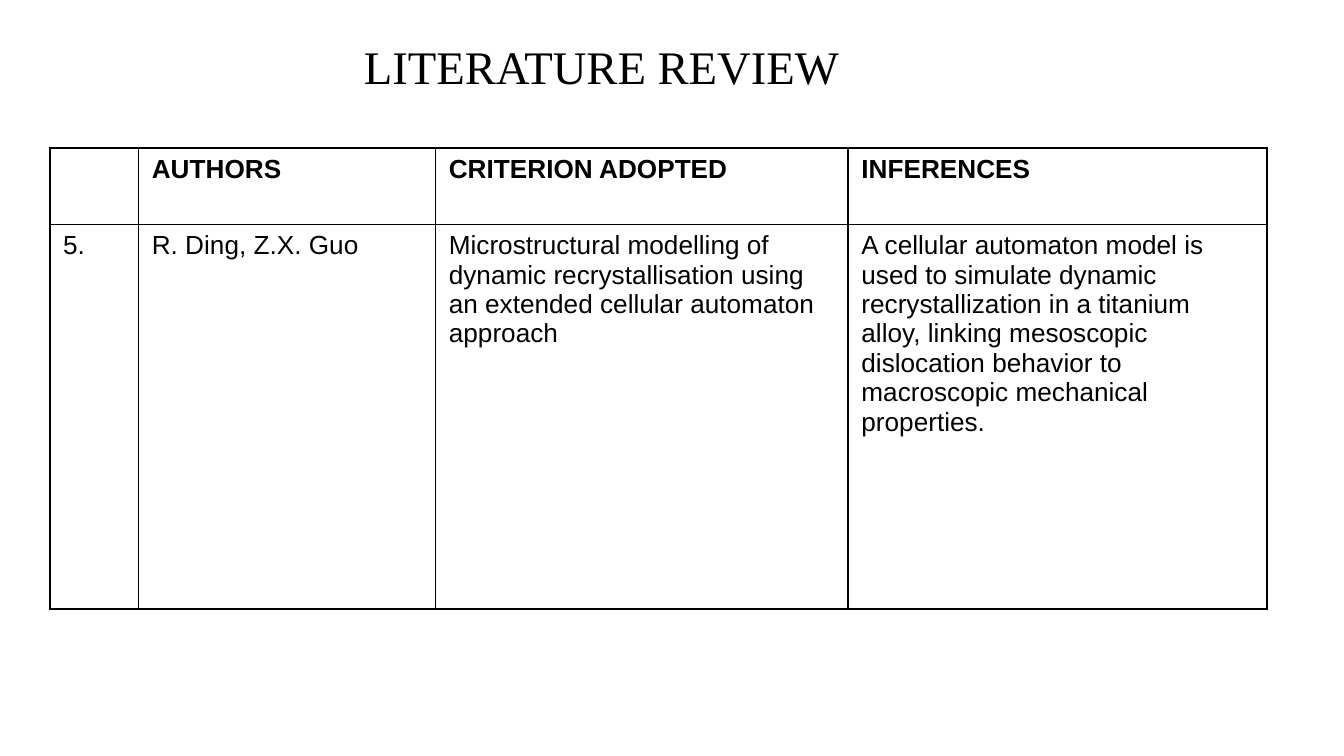
from lxml.etree import SubElement
from pptx import Presentation
from pptx.dml.color import RGBColor
from pptx.enum.text import MSO_ANCHOR
from pptx.oxml.ns import qn
from pptx.util import Inches, Pt

BLACK = "000000"
SLIDE_WIDTH = 10
SLIDE_HEIGHT = SLIDE_WIDTH * 9 / 16
COLUMN_WIDTHS = [0.66, 2.21, 3.07, 3.12]
ROW_HEIGHTS = [0.57, 2.86]
REVIEW = [
    ["", "AUTHORS", "CRITERION ADOPTED", "INFERENCES"],
    [
        "5.",
        "R. Ding, Z.X. Guo",
        "Microstructural modelling of dynamic recrystallisation using "
        "an extended cellular automaton approach",
        "A cellular automaton model is used to simulate dynamic "
        "recrystallization in a titanium alloy, linking mesoscopic "
        "dislocation behavior to macroscopic mechanical properties.",
    ],
]


def color(hex_value):
    return RGBColor.from_string(hex_value)


def add_run(paragraph, text, font_name, size, bold=False):
    run = paragraph.add_run()
    run.text = text
    run.font.name = font_name
    run.font.size = Pt(size)
    run.font.bold = bold
    run.font.color.rgb = color(BLACK)


def add_title(slide, text):
    title = slide.shapes.add_textbox(
        Inches(2.61), Inches(0.23), Inches(5), Inches(0.52)
    )
    title.text_frame.word_wrap = True
    add_run(title.text_frame.paragraphs[0], text, "Times New Roman", 25)


def add_borders(cell):
    properties = cell._tc.get_or_add_tcPr()
    for side in ("a:lnL", "a:lnR", "a:lnT", "a:lnB"):
        border = SubElement(properties, qn(side), w=str(Pt(1)))
        fill = SubElement(border, qn("a:solidFill"))
        SubElement(fill, qn("a:srgbClr"), val=BLACK)


def fill_cell(cell, text, bold):
    cell.vertical_anchor = MSO_ANCHOR.TOP
    add_borders(cell)
    cell.fill.background()
    if text:
        add_run(cell.text_frame.paragraphs[0], text, "Arial", 14, bold)


def add_review_table(slide):
    table = slide.shapes.add_table(
        len(ROW_HEIGHTS), len(COLUMN_WIDTHS), Inches(0.37), Inches(1.1),
        Inches(sum(COLUMN_WIDTHS)), Inches(sum(ROW_HEIGHTS)),
    ).table
    table.horz_banding = False
    table.first_row = False
    for column, width in zip(table.columns, COLUMN_WIDTHS):
        column.width = Inches(width)
    for row_index, (row, height) in enumerate(zip(table.rows, ROW_HEIGHTS)):
        row.height = Inches(height)
        for cell, text in zip(row.cells, REVIEW[row_index]):
            fill_cell(cell, text, bold=row_index == 0)


def main():
    deck = Presentation()
    deck.slide_width = Inches(SLIDE_WIDTH)
    deck.slide_height = Inches(SLIDE_HEIGHT)
    slide = deck.slides.add_slide(deck.slide_layouts[6])
    add_title(slide, "LITERATURE REVIEW")
    add_review_table(slide)
    deck.save("out.pptx")


if __name__ == "__main__":
    main()
